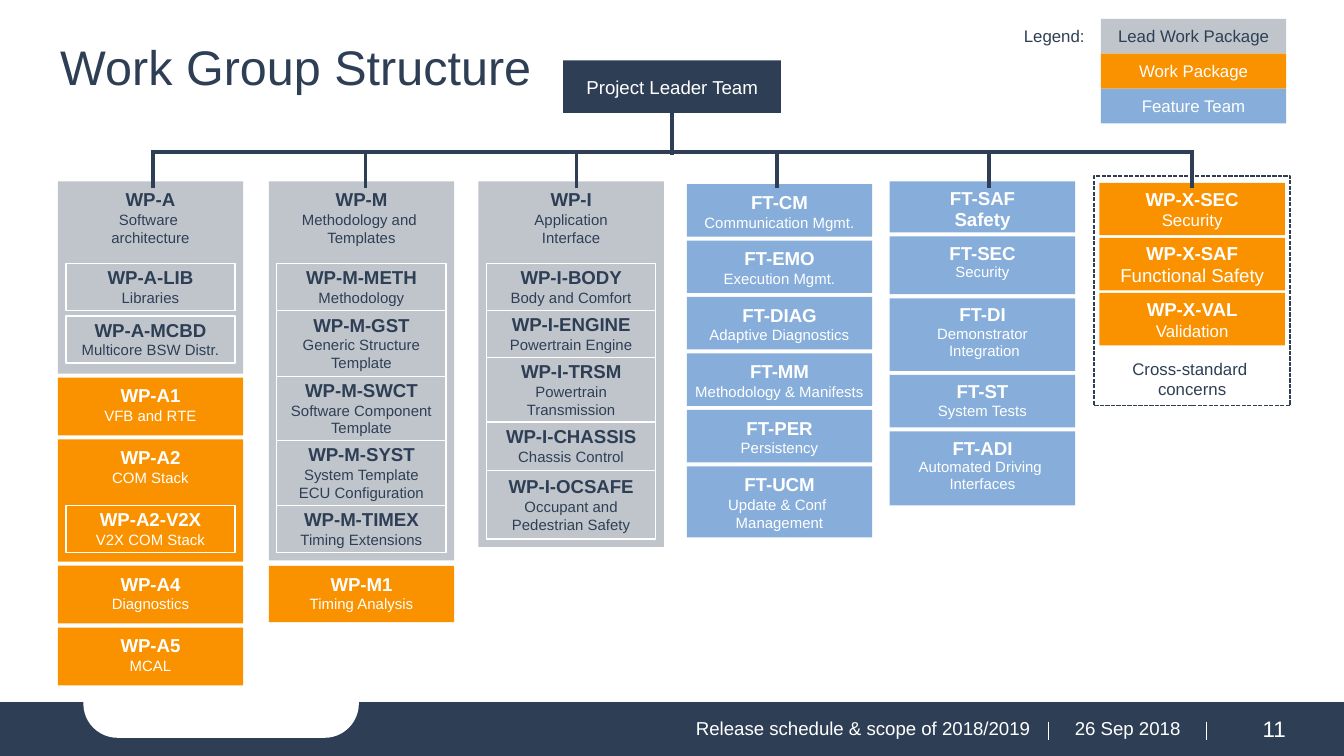
from dataclasses import dataclass

from lxml import etree
from pptx import Presentation
from pptx.dml.color import RGBColor
from pptx.enum.dml import MSO_LINE
from pptx.enum.shapes import MSO_CONNECTOR, MSO_SHAPE as SHAPE
from pptx.enum.text import MSO_ANCHOR as ANCHOR, PP_ALIGN as ALIGN
from pptx.oxml.ns import qn
from pptx.util import Inches, Pt

NAVY, WHITE, GREY, ORANGE, BLUE = "2E3F55", "FFFFFF", "C0C5CC", "FA9200", "87AEDA"
TEXT_ON = {GREY: NAVY, ORANGE: WHITE, BLUE: WHITE}
CARD_W = 1.38
CHILD_INSET = 0.06


@dataclass
class Card:
    height: float
    code: str
    details: tuple
    fill: str = None
    children: tuple = ()
    child_top: float = 0.61
    child_gap: float = 0
    size: float = 8
    bold: bool = False


def rgb(color):
    return RGBColor.from_string(color)


def write(sp, lines, align=ALIGN.CENTER, anchor=ANCHOR.MIDDLE, wrap=True,
          spacing=None, bottom=0.05):
    """Fill a shape with (text, size, color, bold) paragraphs; a newline is a line break."""
    tf = sp.text_frame
    tf.word_wrap = wrap
    tf.vertical_anchor = anchor
    tf.margin_left = tf.margin_right = Inches(0.1)
    tf.margin_top, tf.margin_bottom = Inches(0.05), Inches(bottom)
    for i, (text, size, color, bold) in enumerate(lines):
        p = tf.add_paragraph() if i else tf.paragraphs[0]
        p.alignment = align
        if spacing:
            p.line_spacing = spacing
        for j, part in enumerate(text.split("\n")):
            if j:
                p.add_line_break()
            r = p.add_run()
            r.text = part
            r.font.name, r.font.size, r.font.bold = "Arial", Pt(size), bold
            r.font.color.rgb = rgb(color)


def add_box(s, x, y, w, h, fill=None, line=None, line_w=0.75, kind=SHAPE.RECTANGLE):
    sp = s.shapes.add_shape(kind, Inches(x), Inches(y), Inches(w), Inches(h))
    sp.shadow.inherit = False
    if fill:
        sp.fill.solid()
        sp.fill.fore_color.rgb = rgb(fill)
    else:
        sp.fill.background()
    if line:
        sp.line.color.rgb = rgb(line)
        sp.line.width = Pt(line_w)
    else:
        sp.line.fill.background()
    return sp


def add_label(s, x, y, w, h, text, size, color, **layout):
    sp = s.shapes.add_textbox(Inches(x), Inches(y), Inches(w), Inches(h))
    write(sp, [(text, size, color, False)], **layout)


def add_line(s, x1, y1, x2, y2, color=NAVY, width=2):
    c = s.shapes.add_connector(MSO_CONNECTOR.STRAIGHT, Inches(x1), Inches(y1),
                               Inches(x2), Inches(y2))
    c.line.color.rgb = rgb(color)
    c.line.width = Pt(width)
    etree.SubElement(c._element.spPr, qn("a:effectLst"))


def add_stack(s, x, y, cards, gap, w=CARD_W, color=None, **layout):
    """Stack cards downwards; cards without a fill are outlined and take the given text color."""
    for card in cards:
        ink = color or TEXT_ON[card.fill]
        sp = add_box(s, x, y, w, card.height, card.fill, None if card.fill else WHITE)
        write(sp, [(card.code, 10, ink, True)]
              + [(d, card.size, ink, card.bold) for d in card.details], **layout)
        add_stack(s, x + CHILD_INSET, y + card.child_top, card.children, card.child_gap,
                  w - 2 * CHILD_INSET, ink, bottom=0.06)
        y += card.height + gap


def add_footer(s, y):
    add_box(s, 0, y, 10, 0.4, NAVY, NAVY)
    tab = add_box(s, 0.62, y - 0.25, 2.05, 0.51, WHITE, kind=SHAPE.ROUNDED_RECTANGLE)
    tab.adjustments[0] = 0.5
    for x in (7.8, 8.98):
        add_line(s, x, y + 0.14, x, y + 0.28, WHITE, 0.5)
    for x, w, text, size, align in (
            (3.57, 4.19, "Release schedule & scope of 2018/2019", 10, ALIGN.RIGHT),
            (7.84, 1.1, "26 Sep 2018", 10, ALIGN.CENTER),
            (9.02, 0.92, "11", 12, ALIGN.CENTER)):
        add_label(s, x, y + 0.04, w, 0.3, text, size, WHITE, align=align)


def add_legend(s, x, y):
    add_label(s, x, y, 0.66, 0.25, "Legend:", 9, NAVY, align=ALIGN.LEFT,
              anchor=ANCHOR.TOP, wrap=False)
    for i, (text, fill) in enumerate((("Lead Work Package", GREY), ("Work Package", ORANGE),
                                      ("Feature Team", BLUE))):
        sp = add_box(s, x + 0.67, y + 0.26 * i, CARD_W, 0.26, fill)
        write(sp, [(text, 9, TEXT_ON[fill], False)], anchor=ANCHOR.TOP, wrap=False)


def add_tree_lines(s, bus_y, stems):
    add_line(s, 5, 0.81, 5, bus_y + 0.02)
    add_line(s, stems[0], bus_y, stems[-1], bus_y)
    for x in stems:
        add_line(s, x, bus_y - 0.01, x, bus_y + 0.27)


def add_cross_standard_group(s, x, y):
    frame = add_box(s, x, y, 1.46, 1.71, line=NAVY)
    frame.line.dash_style = MSO_LINE.SQUARE_DOT
    write(frame, [("Cross-standard \nconcerns", 9, NAVY, False)],
          anchor=ANCHOR.BOTTOM, wrap=False)
    add_stack(s, x + 0.04, y + 0.05, CROSS_STANDARD, 0.02, wrap=False)


ARCHITECTURE = (
    Card(1.43, "WP-A", ("Software \narchitecture",), GREY, child_gap=0.04, children=(
        Card(0.35, "WP-A-LIB", ("Libraries",)),
        Card(0.35, "WP-A-MCBD", ("Multicore BSW Distr.",)))),
    Card(0.43, "WP-A1", ("VFB and RTE",), ORANGE),
    Card(0.91, "WP-A2", ("COM Stack",), ORANGE, child_top=0.49, children=(
        Card(0.35, "WP-A2-V2X", ("V2X COM Stack",)),)),
    Card(0.43, "WP-A4", ("Diagnostics",), ORANGE),
    Card(0.43, "WP-A5", ("MCAL",), ORANGE),
)
METHODOLOGY = (
    Card(2.82, "WP-M", ("Methodology and \nTemplates",), GREY, children=(
        Card(0.35, "WP-M-METH", ("Methodology",)),
        Card(0.49, "WP-M-GST", ("Generic Structure Template",)),
        Card(0.48, "WP-M-SWCT", ("Software Component Template",)),
        Card(0.48, "WP-M-SYST", ("System Template ECU Configuration",)),
        Card(0.35, "WP-M-TIMEX", ("Timing Extensions",)))),
    Card(0.42, "WP-M1", ("Timing Analysis",), ORANGE),
)
INTERFACE = (
    Card(2.72, "WP-I", ("Application", "Interface"), GREY, children=(
        Card(0.35, "WP-I-BODY", ("Body and Comfort",)),
        Card(0.35, "WP-I-ENGINE", ("Powertrain Engine",)),
        Card(0.48, "WP-I-TRSM", ("Powertrain Transmission",)),
        Card(0.36, "WP-I-CHASSIS", ("Chassis Control",)),
        Card(0.51, "WP-I-OCSAFE", ("Occupant and Pedestrian Safety",)))),
)
FEATURES = (
    Card(0.39, "FT-CM", ("Communication Mgmt.",), BLUE),
    Card(0.39, "FT-EMO", ("Execution Mgmt.",), BLUE),
    Card(0.39, "FT-DIAG", ("Adaptive Diagnostics",), BLUE),
    Card(0.39, "FT-MM", ("Methodology & Manifests",), BLUE),
    Card(0.39, "FT-PER", ("Persistency",), BLUE),
    Card(0.53, "FT-UCM", ("Update & Conf ", "Management"), BLUE),
)
SAFETY = (
    Card(0.38, "FT-SAF", ("Safety",), BLUE, size=10, bold=True),
    Card(0.43, "FT-SEC", ("Security",), BLUE),
    Card(0.54, "FT-DI", ("Demonstrator", " Integration"), BLUE),
    Card(0.39, "FT-ST", ("System Tests",), BLUE),
    Card(0.55, "FT-ADI", ("Automated Driving ", "Interfaces"), BLUE),
)
CROSS_STANDARD = (
    Card(0.39, "WP-X-SEC", ("Security",), ORANGE, size=9),
    Card(0.39, "WP-X-SAF", ("Functional Safety",), ORANGE, size=10),
    Card(0.39, "WP-X-VAL", ("Validation",), ORANGE, size=9),
)
COLUMNS = (  # left, top, cards, gap, line spacing
    (0.43, 1.35, ARCHITECTURE, 0.03, None),
    (2, 1.35, METHODOLOGY, 0.04, None),
    (3.56, 1.35, INTERFACE, 0, None),
    (5.11, 1.37, FEATURES, 0.03, None),
    (6.62, 1.35, SAFETY, 0.03, 0.95),
)


def main():
    prs = Presentation()
    prs.slide_width = Inches(10)
    prs.slide_height = prs.slide_width * 9 // 16
    s = prs.slides.add_slide(prs.slide_layouts[6])
    add_footer(s, 5.23)
    add_label(s, 0.35, 0.23, 9.2, 0.53, "Work Group Structure", 26, NAVY, align=ALIGN.LEFT)
    for x, y, cards, gap, spacing in COLUMNS:
        add_stack(s, x, y, cards, gap, anchor=ANCHOR.TOP, wrap=False, spacing=spacing)
    add_cross_standard_group(s, 8.14, 1.31)
    add_tree_lines(s, 1.13, (1.14, 2.72, 4.29, 5.78, 7.36, 8.87))
    write(add_box(s, 4.19, 0.45, 1.62, 0.39, NAVY), [("Project Leader Team", 10, WHITE, False)])
    add_legend(s, 7.52, 0.14)
    prs.save("out.pptx")


if __name__ == "__main__":
    main()
